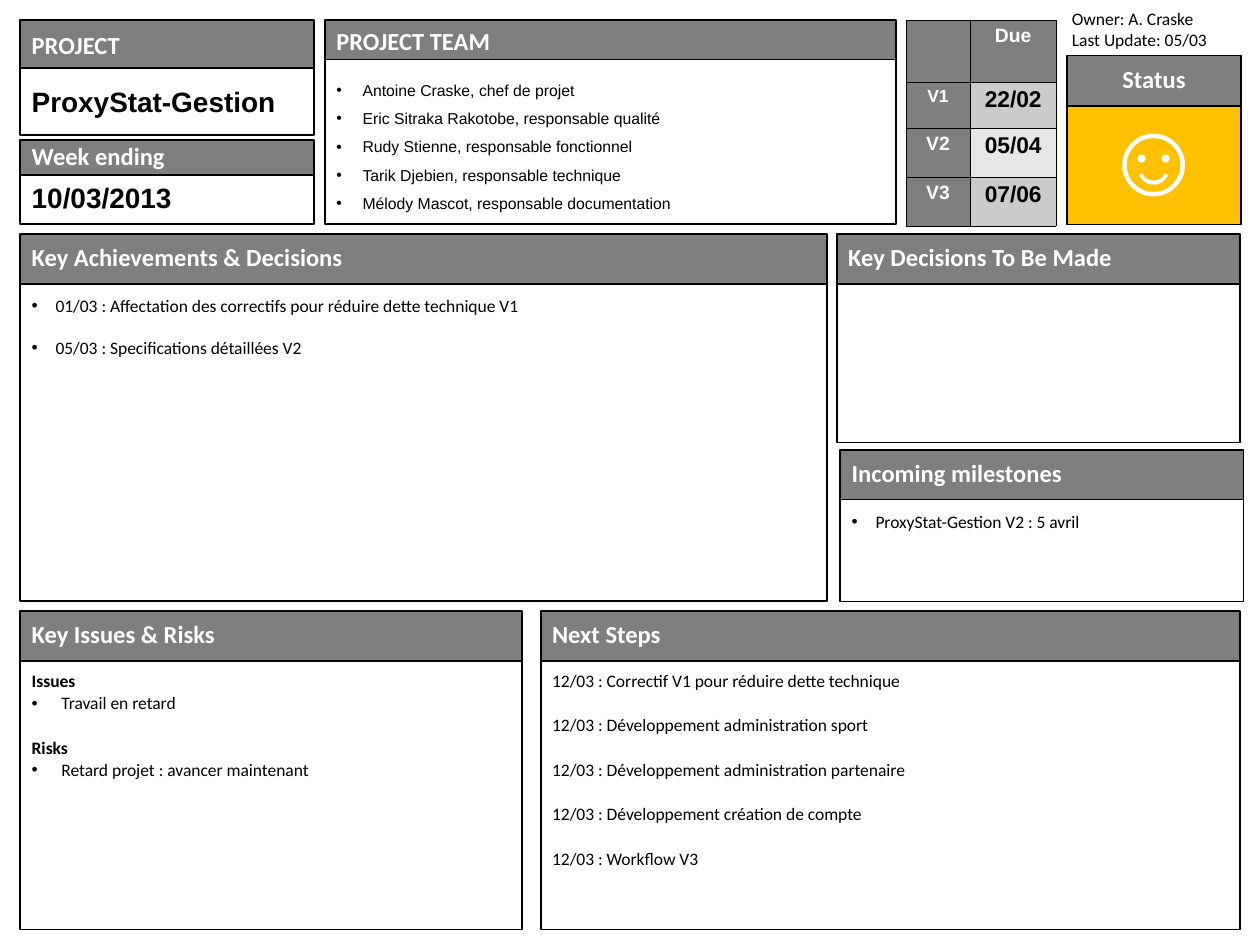
from lxml.etree import SubElement
from pptx import Presentation
from pptx.dml.color import RGBColor
from pptx.enum.shapes import MSO_SHAPE as Shape
from pptx.enum.text import MSO_ANCHOR as Anchor, MSO_AUTO_SIZE as AutoSize, PP_ALIGN as Align
from pptx.oxml.ns import qn
from pptx.util import Cm, Pt

BLACK, WHITE, GREY, AMBER = "000000", "FFFFFF", "7F7F7F", "FFC000"
INSETS = (0.23, 0.23, 0.23, 0.13)
HEAD_HEIGHT = 1


def color(value):
    return RGBColor.from_string(value)


def set_fill(target, value):
    target.fill.solid()
    target.fill.fore_color.rgb = color(value)


def format_box(shape, fill, line_width=1):
    set_fill(shape, fill)
    shape.line.color.rgb = color(BLACK)
    shape.line.width = Pt(line_width)


def add_box(slide, box, fill, line_width=1):
    shape = slide.shapes.add_shape(Shape.RECTANGLE, *map(Cm, box))
    shape.shadow.inherit = False
    format_box(shape, fill, line_width)
    return shape


def add_bullet(paragraph, indent):
    properties = paragraph._p.get_or_add_pPr()
    properties.set("marL", str(Cm(indent)))
    properties.set("indent", str(-Cm(indent)))
    bullet_color = SubElement(properties, qn("a:buClr"))
    SubElement(bullet_color, qn("a:srgbClr"), val=BLACK)
    SubElement(properties, qn("a:buFont"), typeface="Arial")
    SubElement(properties, qn("a:buChar"), char="•")


def format_paragraph(paragraph, font="Calibri", size=10, ink=BLACK, bold=False,
                     align=Align.LEFT, spacing=1.0, before=0, indent=0):
    paragraph.alignment = align
    paragraph.line_spacing = spacing
    paragraph.space_before = Pt(before)
    if indent:
        add_bullet(paragraph, indent)
    paragraph.font.name = font
    paragraph.font.size = Pt(size)
    paragraph.font.bold = bold
    paragraph.font.color.rgb = color(ink)


def write(shape, lines, anchor=Anchor.TOP, insets=INSETS, **style):
    """Each line is a text, or a text with its own style changes."""
    frame = shape.text_frame
    frame.word_wrap = True
    frame.auto_size = AutoSize.NONE
    frame.vertical_anchor = anchor
    (frame.margin_left, frame.margin_top,
     frame.margin_right, frame.margin_bottom) = map(Cm, insets)
    for index, line in enumerate(lines):
        text, changes = (line, {}) if isinstance(line, str) else line
        paragraph = frame.paragraphs[0] if index == 0 else frame.add_paragraph()
        paragraph.text = text
        options = {**style, **changes}
        if index == 0:
            options["before"] = 0
        format_paragraph(paragraph, **options)


def add_panel(slide, box, heading, lines=(), head_height=HEAD_HEIGHT, head_top_inset=0.13,
              head_align=Align.LEFT, fill=WHITE, line_width=1, **style):
    """A white or coloured body under a grey heading bar."""
    left, top, width, height = box
    body = add_box(slide, (left, top + head_height, width, height - head_height),
                   fill, line_width)
    if lines:
        write(body, lines, **style)
    head = add_box(slide, (left, top, width, head_height), GREY)
    write(head, [heading], Anchor.MIDDLE, (0.23, head_top_inset, 0.23, 0.13),
          size=14, ink=WHITE, bold=True, spacing=0.9, align=head_align)


def add_project(slide, box):
    left, top, width, height = box
    # Project name
    head = add_box(slide, (left, top, width, 0.97), GREY)
    write(head, ["PROJECT"], Anchor.MIDDLE, INSETS,
          size=14, ink=WHITE, bold=True, spacing=0.9)
    title = slide.shapes.title
    title.left, title.top, title.width, title.height = map(
        Cm, (left, top + 0.97, width, 1.34))
    format_box(title, WHITE)
    large = dict(anchor=Anchor.MIDDLE, insets=(0.23, 0.13, 0.23, 0.13),
                 font="Arial", size=16, bold=True)
    write(title, ["ProxyStat-Gestion"], **large)
    # Reporting date
    add_panel(slide, (left, top + 2.41, width, height - 2.41), "Week ending",
              ["10/03/2013"], head_height=0.71, spacing=0.9, **large)


def add_due_dates(slide, box):
    rows = [("", "Due"), ("V1", "22/02"), ("V2", "05/04"), ("V3", "07/06")]
    fills = [GREY, "CBCBCB", "E7E7E7", "CBCBCB"]
    table = slide.shapes.add_table(len(rows), 2, *map(Cm, box)).table
    for column, width in zip(table.columns, (1.3, 1.73)):
        column.width = Cm(width)
    for row, height in zip(table.rows, (1.24, 0.94, 0.99, 0.97)):
        row.height = Cm(height)
    for i, row in enumerate(rows):
        for j, text in enumerate(row):
            cell = table.cell(i, j)
            for edge in ("lnL", "lnR", "lnT", "lnB"):
                line = SubElement(cell._tc.get_or_add_tcPr(), qn(f"a:{edge}"), w=str(Pt(0.23)))
                solid = SubElement(line, qn("a:solidFill"))
                SubElement(solid, qn("a:srgbClr"), val=BLACK)
            set_fill(cell, fills[i] if j else GREY)
            cell.margin_left = cell.margin_right = Cm(0.28 if j else 0.1)
            if text:
                is_date = i > 0 and j == 1
                paragraph = cell.text_frame.paragraphs[0]
                paragraph.text = text
                size = 13 if is_date else 10 if text == "V1" else 11
                format_paragraph(paragraph, "Arial", size, BLACK if is_date else WHITE,
                                 True, Align.CENTER, 0.93)


def add_status(slide, box):
    left, top, width, height = box
    owner = slide.shapes.add_textbox(*map(Cm, (left - 0.15, top, width + 0.1, 1.12)))
    write(owner, ["Owner: A. Craske", "Last Update: 05/03"], insets=(0.25, 0.13, 0.25, 0.13))
    add_panel(slide, (left, top + 1.09, width, height - 1.09), "Status", ["☺"],
              head_height=1.02, head_align=Align.CENTER, fill=AMBER, line_width=0.75,
              anchor=Anchor.MIDDLE, insets=(0.25, 0.13, 0.25, 0.13),
              font="Arial", size=60, ink=WHITE, align=Align.CENTER, spacing=0.8)


def main():
    presentation = Presentation()
    presentation.slide_width, presentation.slide_height = Cm(25.4), Cm(19.05)
    slide = presentation.slides.add_slide(presentation.slide_layouts[5])

    # Top band
    add_project(slide, (0.41, 0.41, 5.92, 4.11))
    add_panel(slide, (6.55, 0.41, 11.51, 4.11), "PROJECT TEAM",
              ["Antoine Craske, chef de projet",
               "Eric Sitraka Rakotobe, responsable qualité",
               "Rudy Stienne, responsable fonctionnel",
               "Tarik Djebien, responsable technique",
               "Mélody Mascot, responsable documentation"],
              head_height=0.79, head_top_inset=0.23,
              font="Arial", size=9, spacing=1.5, indent=0.53)
    add_due_dates(slide, (18.26, 0.41, 3.03, 4.14))
    add_status(slide, (21.51, 0.03, 3.51, 4.5))

    # Middle band
    add_panel(slide, (0.41, 4.72, 16.27, 7.4), "Key Achievements & Decisions",
              ["01/03 : Affectation des correctifs pour réduire dette technique V1",
               "05/03 : Specifications détaillées V2"], indent=0.48, before=12)
    add_panel(slide, (16.87, 4.72, 8.13, 4.2), "Key Decisions To Be Made")
    add_panel(slide, (16.94, 9.07, 8.13, 3.06), "Incoming milestones",
              ["ProxyStat-Gestion V2 : 5 avril"], indent=0.48)

    # Bottom band
    add_panel(slide, (0.41, 12.32, 10.11, 6.42), "Key Issues & Risks",
              [("Issues", {"bold": True}),
               ("Travail en retard", {"indent": 0.6}),
               ("Risks", {"bold": True, "before": 14.6}),
               ("Retard projet : avancer maintenant", {"indent": 0.6})],
              spacing=0.9, before=2)
    steps = ["Correctif V1 pour réduire dette technique",
             "Développement administration sport",
             "Développement administration partenaire",
             "Développement création de compte",
             "Workflow V3"]
    add_panel(slide, (10.9, 12.32, 14.1, 6.42), "Next Steps",
              [f"12/03 : {step}" for step in steps], spacing=0.9, before=14.6)

    presentation.save("out.pptx")


if __name__ == "__main__":
    main()
